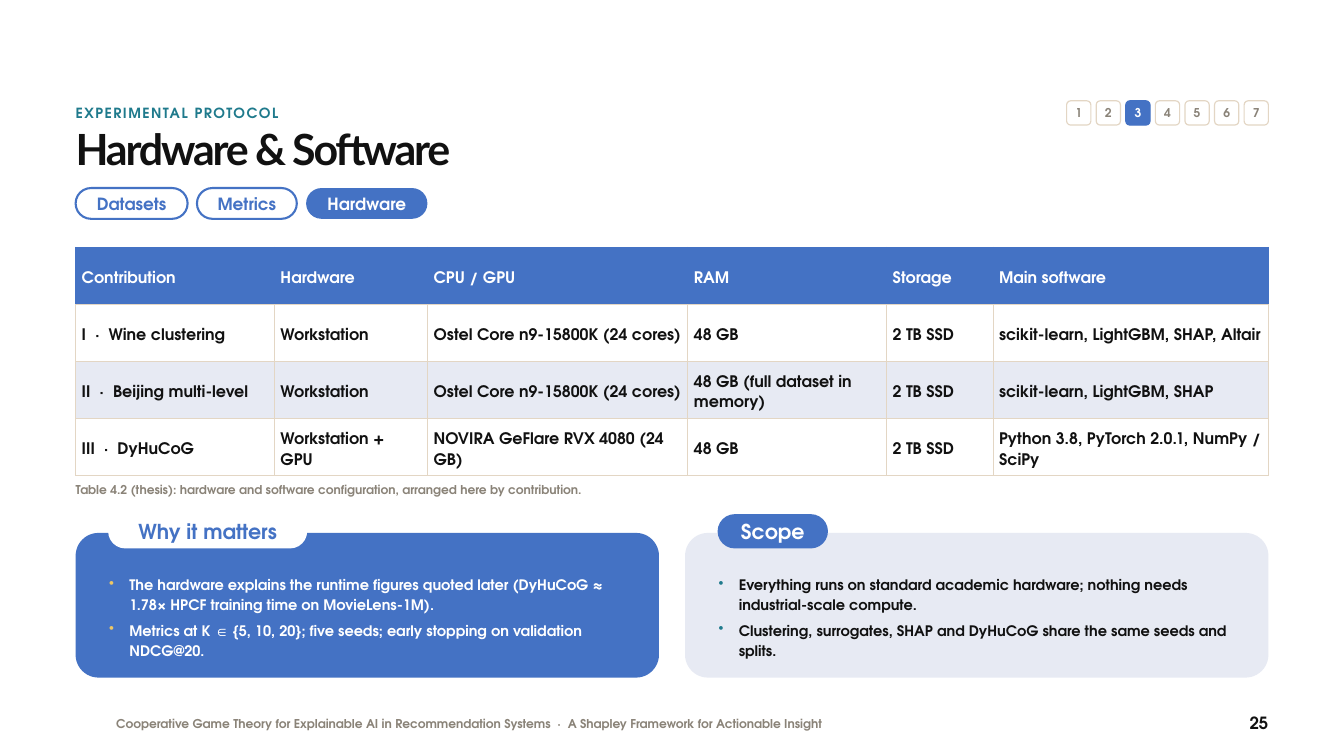
from lxml import etree
from pptx import Presentation
from pptx.dml.color import RGBColor
from pptx.enum.shapes import MSO_SHAPE
from pptx.enum.text import MSO_ANCHOR, MSO_AUTO_SIZE, PP_ALIGN
from pptx.oxml.ns import qn
from pptx.util import Pt

ROUND = MSO_SHAPE.ROUNDED_RECTANGLE
TOP, MIDDLE = MSO_ANCHOR.TOP, MSO_ANCHOR.MIDDLE
LEFT, CENTER, RIGHT = PP_ALIGN.LEFT, PP_ALIGN.CENTER, PP_ALIGN.RIGHT
NO_FIT = MSO_AUTO_SIZE.NONE
FONT, TITLE_FONT, MATH_FONT = "TeX Gyre Adventor", "Lato", "Times New Roman"
BLUE, PALE, WHITE, INK = "4472C4", "E7EAF3", "FFFFFF", "111111"
TEAL, GOLD, GREY, SAND = "1F7A8C", "ECC665", "8A8378", "E3D6C4"
X, W = 81, 1278

COLUMNS = [213, 164, 279, 213, 114, 295]
ROWS = [
    ["Contribution", "Hardware", "CPU / GPU", "RAM", "Storage", "Main software"],
    ["I  ·  Wine clustering", "Workstation", "Ostel Core n9-15800K (24 cores)", "48 GB", "2 TB SSD",
     "scikit-learn, LightGBM, SHAP, Altair"],
    ["II  ·  Beijing multi-level", "Workstation", "Ostel Core n9-15800K (24 cores)",
     "48 GB (full dataset in memory)", "2 TB SSD", "scikit-learn, LightGBM, SHAP"],
    ["III  ·  DyHuCoG", "Workstation + GPU", "NOVIRA GeFlare RVX 4080 (24 GB)", "48 GB", "2 TB SSD",
     "Python 3.8, PyTorch 2.0.1, NumPy / SciPy"],
]
WHY = [
    "The hardware explains the runtime figures quoted later (DyHuCoG ≈ 1.78× HPCF training time on MovieLens-1M).",
    [("Metrics at K ", FONT), ("∈ ", MATH_FONT),
     ("{5, 10, 20}; five seeds; early stopping on validation NDCG@20.", FONT)],
]
SCOPE = [
    "Everything runs on standard academic hardware; nothing needs industrial-scale compute.",
    "Clustering, surrogates, SHAP and DyHuCoG share the same seeds and splits.",
]


def rgb(color):
    """Turn a hex string into a colour."""
    return RGBColor.from_string(color)


def add_bullet(p, color):
    """Give a paragraph a coloured bullet and a hanging indent."""
    pPr = p._p.get_or_add_pPr()
    pPr.set("marL", str(Pt(21.6)))
    pPr.set("indent", str(-Pt(21.6)))
    clr = etree.SubElement(pPr, qn("a:buClr"))
    etree.SubElement(clr, qn("a:srgbClr"), val=color)
    etree.SubElement(pPr, qn("a:buChar"), char="•")


def write(tf, paras, size=13, color=GREY, font=FONT, line=16, align=LEFT, spacing=0, bullet=None, gap=0):
    """Fill a text frame with paragraphs, each a string or a list of (text, font)."""
    for i, para in enumerate([paras] if isinstance(paras, str) else paras):
        p = tf.add_paragraph() if i else tf.paragraphs[0]
        if bullet:
            add_bullet(p, bullet)
        p.alignment = align
        p.line_spacing = Pt(line)
        if i:
            p.space_before = Pt(gap)
        for text, face in [(para, font)] if isinstance(para, str) else para:
            r = p.add_run()
            r.text = text
            r.font.name, r.font.size, r.font.bold = face, Pt(size), True
            r.font.color.rgb = rgb(color)
            if spacing:
                r._r.get_or_add_rPr().set("spc", str(round(spacing * 100)))


def set_frame(tf, anchor=TOP, side=0):
    """Set wrapping, anchor and margins of a text frame."""
    tf.word_wrap, tf.auto_size, tf.vertical_anchor = True, NO_FIT, anchor
    tf.margin_left = tf.margin_right = Pt(side)
    tf.margin_top = tf.margin_bottom = 0


def add_text(s, box, paras, **fmt):
    """Add a text box."""
    tf = s.shapes.add_textbox(*map(Pt, box)).text_frame
    set_frame(tf)
    write(tf, paras, **fmt)


def add_round(s, box, radius, fill=None, border=None, weight=2.25, text=None, **fmt):
    """Add a rounded rectangle with an optional centred label."""
    sp = s.shapes.add_shape(ROUND, *map(Pt, box))
    sp.adjustments[0] = radius
    sp.shadow.inherit = False
    if fill:
        sp.fill.solid()
        sp.fill.fore_color.rgb = rgb(fill)
    else:
        sp.fill.background()
    if border:
        sp.line.color.rgb = rgb(border)
        sp.line.width = Pt(weight)
    else:
        sp.line.fill.background()
    if text:
        set_frame(sp.text_frame, MIDDLE, 0 if len(text) == 1 else 3.6)
        write(sp.text_frame, text, align=CENTER, **fmt)


def add_heading(s, x, y, w):
    """Place the section label and the title."""
    add_text(s, (x, y, 1019, 26), "EXPERIMENTAL PROTOCOL", size=15, color=TEAL, line=20, spacing=1.6)
    title = s.shapes.title
    title.left, title.top, title.width, title.height = map(Pt, (x, y + 26, w, 57.6))
    set_frame(title.text_frame)
    write(title.text_frame, "Hardware & Software", size=46, color=INK, font=TITLE_FONT, line=50.6, spacing=-2.3)


def add_steps(s, right, y, count, current):
    """Place the numbered progress boxes, ending at the right edge."""
    size, pitch = 26, 31.7
    for n in range(1, count + 1):
        on = n == current
        add_round(s, (right - size - (count - n) * pitch, y, size, size), 0.167, BLUE if on else WHITE,
                  BLUE if on else SAND, 1.25, str(n), color=WHITE if on else GREY, line=15)


def add_tabs(s, x, y, tabs, current):
    """Place a row of pill tabs."""
    for label, w in tabs:
        on = label == current
        add_round(s, (x, y, w, 33), 0.5, BLUE if on else None, None if on else BLUE, text=label,
                  size=18, color=WHITE if on else BLUE, line=21.6)
        x += w + 10


def set_cell(cell, text, fill, border, color):
    """Fill, frame and write one table cell."""
    cell.fill.solid()
    cell.fill.fore_color.rgb = rgb(fill)
    cell.vertical_anchor = MIDDLE
    cell.margin_left = cell.margin_right = Pt(6.5)
    cell.margin_top = cell.margin_bottom = Pt(3.6)
    write(cell.text_frame, text, size=17, color=color, line=22.1)
    tcPr = cell._tc.get_or_add_tcPr()
    for i, side in enumerate(("a:lnL", "a:lnR", "a:lnT", "a:lnB")):
        ln = etree.Element(qn(side), w=str(Pt(1)))
        solid = etree.SubElement(ln, qn("a:solidFill"))
        etree.SubElement(solid, qn("a:srgbClr"), val=border)
        tcPr.insert(i, ln)


def add_hardware_table(s, x, y, w, h):
    """Place the hardware table and its caption."""
    table = s.shapes.add_table(len(ROWS), len(COLUMNS), *map(Pt, (x, y, w, h))).table
    for column, width in zip(table.columns, COLUMNS):
        column.width = Pt(width)
    for i, row in enumerate(ROWS):
        fill = BLUE if i == 0 else PALE if i == 2 else WHITE
        for j, text in enumerate(row):
            set_cell(table.cell(i, j), text, fill, SAND if i else BLUE, INK if i else WHITE)
    add_text(s, (x, y + h + 6, w, 32),
             "Table 4.2 (thesis): hardware and software configuration, arranged here by contribution.", line=17)


def add_card(s, x, y, w, h, label, label_w, paras, fill, tab, ink, dot):
    """Place a card with a label tab and bullets."""
    add_round(s, (x, y, w, h), 0.158, fill)
    add_round(s, (x + 36, y - 19, label_w, 34.5), 0.5, tab, tab, text=label,
              size=22, color=BLUE if tab == WHITE else WHITE, line=26.4)
    add_text(s, (x + 36, y + 43, w - 69, 97), paras, size=15.5, color=ink, line=21.7, bullet=dot, gap=5.5)


def add_footer(s, x, y, right):
    """Place the running title and the page number."""
    add_text(s, (x, y, 1008, 22), "Cooperative Game Theory for Explainable AI in Recommendation Systems  ·  "
             "A Shapley Framework for Actionable Insight")
    add_text(s, (right - 86, y - 4, 86, 26), "25", size=18, color=INK, line=22, align=RIGHT)


def main():
    """Build and save the slide."""
    prs = Presentation()
    prs.slide_width, prs.slide_height = Pt(1440), Pt(810)
    s = prs.slides.add_slide(prs.slide_layouts[5])
    add_heading(s, X, 109.5, W)
    add_steps(s, X + W, 108, 7, 3)
    add_tabs(s, X, 201.5, [("Datasets", 120), ("Metrics", 107), ("Hardware", 130)], "Hardware")
    add_hardware_table(s, X, 265, W, 244.8)
    card_w, card_y, card_h = 625, 571, 155
    add_card(s, X, card_y, card_w, card_h, "Why it matters", 211, WHY, BLUE, WHITE, WHITE, GOLD)
    add_card(s, X + W - card_w, card_y, card_w, card_h, "Scope", 116, SCOPE, PALE, BLUE, INK, TEAL)
    add_footer(s, 124.5, 767.5, X + W)
    prs.save("out.pptx")


if __name__ == "__main__":
    main()
